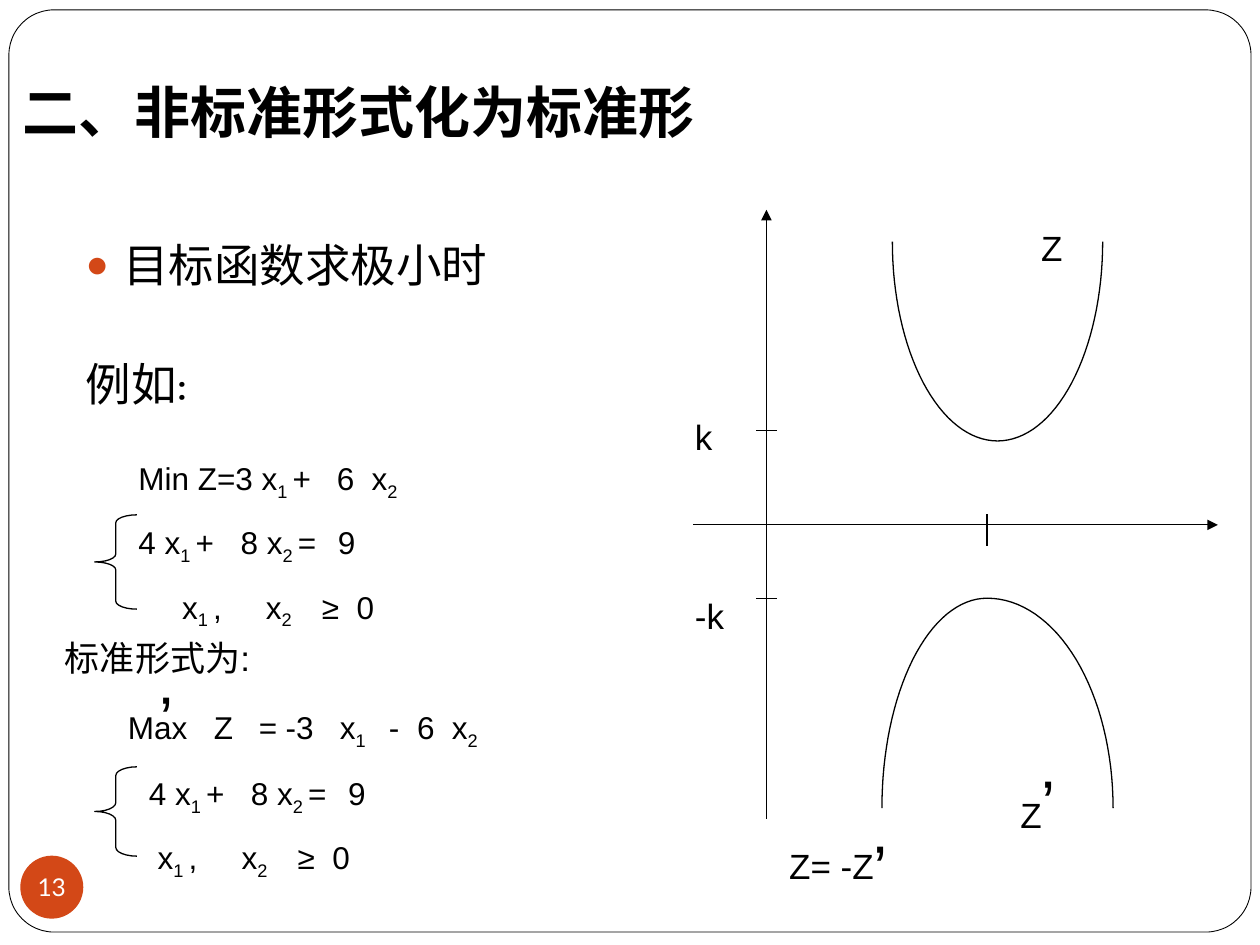
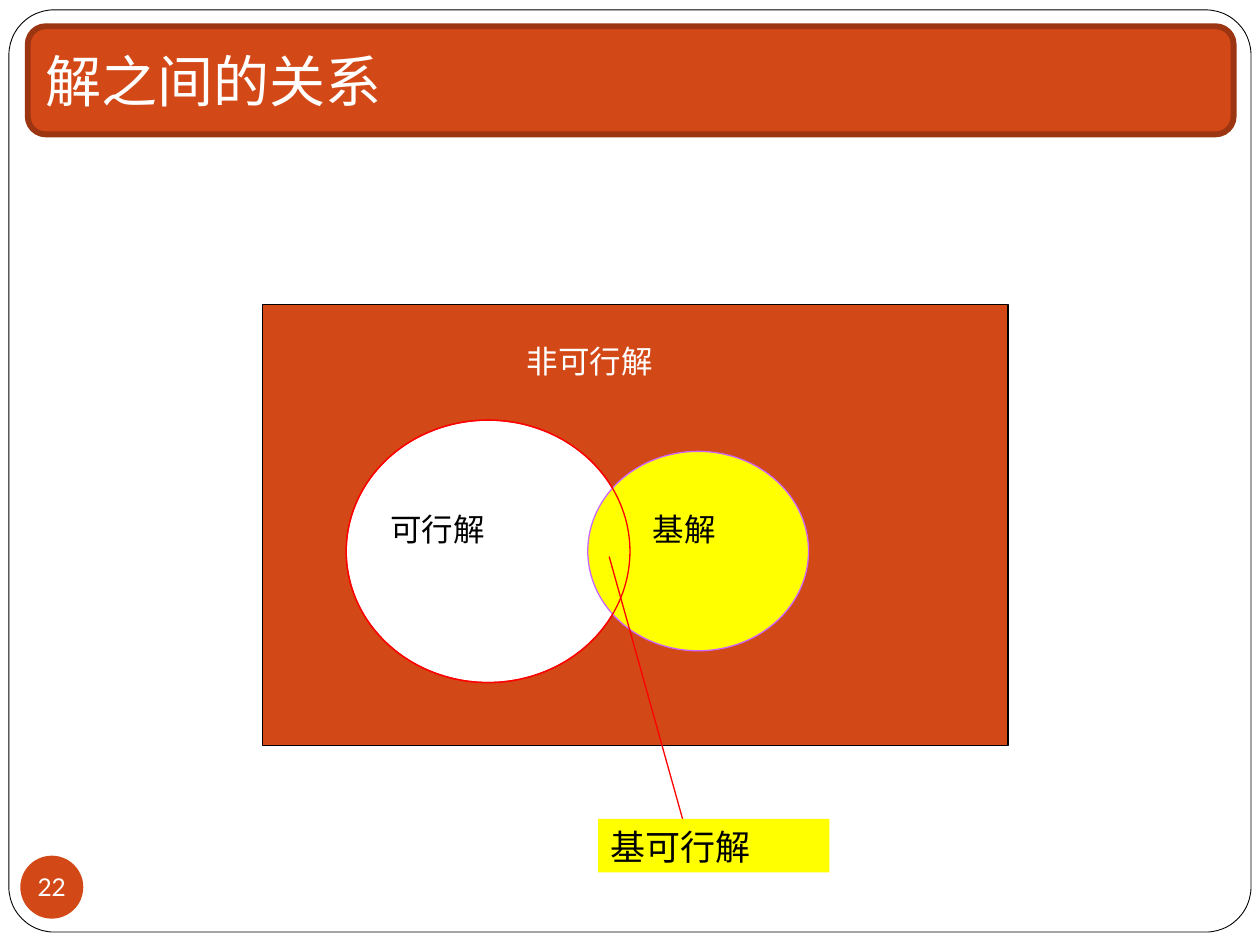
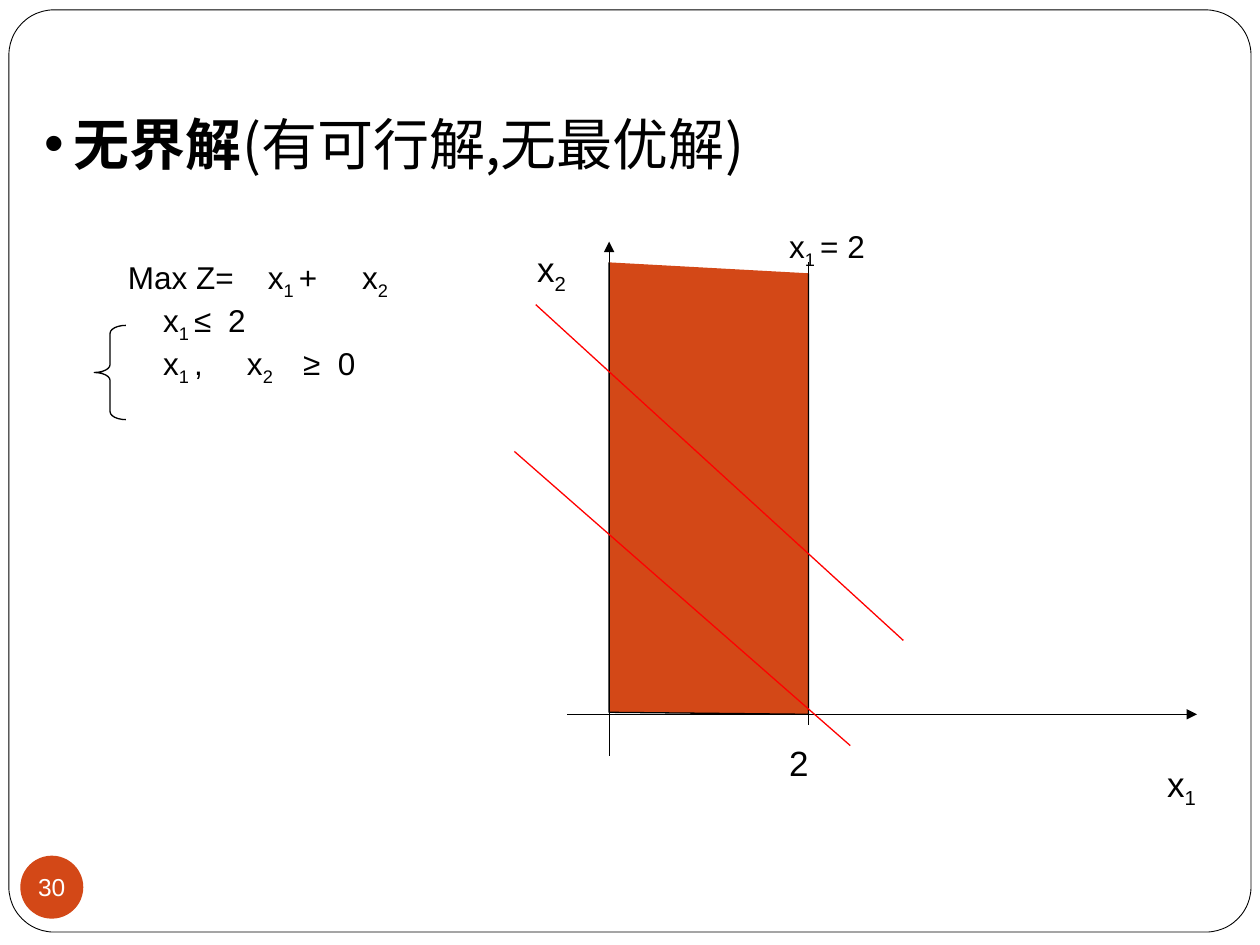
"""Build three lecture slides on linear programming."""
from math import cos, pi, sin

from lxml import etree
from pptx import Presentation
from pptx.dml.color import RGBColor
from pptx.enum.shapes import MSO_CONNECTOR, MSO_SHAPE
from pptx.enum.text import MSO_ANCHOR, MSO_AUTO_SIZE, PP_ALIGN
from pptx.oxml.ns import qn
from pptx.util import Cm, Pt

STRAIGHT = MSO_CONNECTOR.STRAIGHT
RECT, ROUND = MSO_SHAPE.RECTANGLE, MSO_SHAPE.ROUNDED_RECTANGLE
OVAL, BRACE = MSO_SHAPE.OVAL, MSO_SHAPE.LEFT_BRACE
TOP, MIDDLE, BOTTOM = MSO_ANCHOR.TOP, MSO_ANCHOR.MIDDLE, MSO_ANCHOR.BOTTOM
LEFT, CENTER = PP_ALIGN.LEFT, PP_ALIGN.CENTER
GROW, FIXED = MSO_AUTO_SIZE.SHAPE_TO_FIT_TEXT, MSO_AUTO_SIZE.NONE

BLACK = RGBColor(0x00, 0x00, 0x00)
WHITE = RGBColor(0xFF, 0xFF, 0xFF)
RUST = RGBColor(0xD3, 0x48, 0x17)
BROWN = RGBColor(0x9C, 0x35, 0x11)
RED = RGBColor(0xFF, 0x00, 0x00)
YELLOW = RGBColor(0xFF, 0xFF, 0x00)
VIOLET = RGBColor(0xCC, 0x66, 0xFF)

SANS, LATO, SERIF, HAN = "Arial", "Lato", "Vollkorn", "Noto Sans CJK SC"
SUM_ROW = ("4 x|1 |+\t8 x|2 |=\t9", (2.06, 4.02))


def style(item, **values):
    """Set each given value as an attribute."""
    for name, value in values.items():
        setattr(item, name, value)


def node(parent, tag, **values):
    """Append a drawing element with its attributes."""
    return etree.SubElement(parent, qn("a:" + tag), values)


def place(item, box):
    """Move an item to a box in centimetres."""
    style(item, **dict(zip(("left", "top", "width", "height"), map(Cm, box))))


def paint(item, fill=None, line=None, width=0.75):
    """Set the fill and outline and drop the shadow."""
    item.shadow.inherit = False
    if fill is None:
        item.fill.background()
    else:
        item.fill.solid()
        item.fill.fore_color.rgb = fill
    if line is None:
        item.line.fill.background()
    else:
        item.line.color.rgb = line
        item.line.width = Pt(width)


def shape(slide, kind, box, adjust=(), **look):
    """Add a painted preset shape."""
    item = slide.shapes.add_shape(kind, *map(Cm, box))
    for index, value in enumerate(adjust):
        item.adjustments[index] = value
    paint(item, **look)
    return item


def line(slide, start, end, color=BLACK, arrow=False):
    """Draw a straight line, with an arrowhead if asked."""
    item = slide.shapes.add_connector(STRAIGHT, *map(Cm, start + end))
    item.line.color.rgb = color
    item.line.width = Pt(0.75)
    props = item.element.spPr
    if arrow:
        node(props.find(qn("a:ln")), "tailEnd", type="triangle")
    node(props, "effectLst")


def write(para, text, size, font=SANS, color=BLACK, bold=False):
    """Add runs; every second part between bars is a subscript."""
    for index, part in enumerate(text.split("|")):
        if part:
            run = para.add_run()
            run.text = part
            style(run.font, name=font, size=Pt(size), bold=bold)
            run.font.color.rgb = color
            props = run.font._element
            node(props, "ea", typeface=HAN)
            if index % 2:
                props.set("baseline", "-25000")


def bullet(para, char=None, color=None, size=None):
    """Give a paragraph a bullet, or none."""
    props = para._p.get_or_add_pPr()
    if color is not None:
        node(node(props, "buClr"), "srgbClr", val=str(color))
    if size:
        node(props, "buSzPct", val=str(size * 1000))
    if char:
        node(props, "buFont", typeface=SANS)
        node(props, "buChar", char=char)
    else:
        node(props, "buNone")


def label(slide, box, text, size=20, color=BLACK):
    """Place a one-line label."""
    item = slide.shapes.add_textbox(*map(Cm, box))
    style(item.text_frame, word_wrap=True, auto_size=GROW)
    write(item.text_frame.paragraphs[0], text, size, color=color)
    return item


def rows(slide, box, lines, spacing=1.0):
    """Place formula lines, each with its own tab stops."""
    item = slide.shapes.add_textbox(*map(Cm, box))
    frame = item.text_frame
    style(frame, word_wrap=True, auto_size=GROW)
    for index, (text, tabs) in enumerate(lines):
        para = frame.add_paragraph() if index else frame.paragraphs[0]
        para.line_spacing = spacing
        stops = node(para._p.get_or_add_pPr(), "tabLst")
        for tab in tabs:
            node(stops, "tab", pos=str(Cm(tab)), algn="l")
        write(para, text, 18)


def signs(indent):
    """Return the sign condition line, set in by an indent."""
    tabs = [indent + step for step in (0, 1.69, 2.82, 3.52)]
    return "\tx|1 |,\tx|2|\t≥\t0", tabs


def brace(slide, box, bend):
    """Draw a left brace."""
    shape(slide, BRACE, box, (bend, 0.5), line=BLACK)


def title(slide, box, parts, font=HAN, color=BLACK, anchor=BOTTOM, mark=None):
    """Fill the title placeholder with (text, bold) parts."""
    item = slide.shapes.title
    place(item, box)
    frame = item.text_frame
    base = 0.25 if anchor == BOTTOM else 0.13
    style(frame, word_wrap=True, auto_size=FIXED, vertical_anchor=anchor,
          margin_left=Cm(0.25), margin_right=Cm(0.25),
          margin_top=Cm(0.13), margin_bottom=Cm(base))
    para = frame.paragraphs[0]
    para.alignment = LEFT
    bullet(para, mark)
    for text, bold in parts:
        write(para, text, 32, font, color, bold)
    return item


def body(slide, box, lines):
    """Fill the body placeholder with (text, mark, space) lines."""
    item = slide.placeholders[1]
    place(item, box)
    frame = item.text_frame
    style(frame, word_wrap=True, auto_size=FIXED, vertical_anchor=TOP)
    for index, (text, mark, space) in enumerate(lines):
        para = frame.add_paragraph() if index else frame.paragraphs[0]
        para.space_before = Pt(space)
        props = para._p.get_or_add_pPr()
        props.set("marL", str(Cm(0.76)))
        props.set("indent", str(Cm(-0.76)))
        bullet(para, mark, RUST, 85)
        write(para, text, 26, SERIF)


def badge(slide, number, font=LATO):
    """Draw the page number disc."""
    item = shape(slide, OVAL, (0.41, 17.25, 1.27, 1.27), fill=RUST)
    frame = item.text_frame
    style(frame, word_wrap=False, vertical_anchor=MIDDLE, margin_left=0,
          margin_right=0, margin_top=0, margin_bottom=0)
    frame.paragraphs[0].alignment = CENTER
    write(frame.paragraphs[0], str(number), 14, font, WHITE)


def frame_all(deck, slide):
    """Put the rounded page frame on the slide master."""
    item = shape(slide, ROUND, (0.18, 0.2, 25.04, 18.59), (0.049,),
                 fill=WHITE, line=BLACK, width=0.5)
    deck.slide_master.shapes._spTree.insert(2, item.element)


def curve(slide, x, y, wide, high):
    """Draw a quarter ellipse around a centre."""
    steps = 32
    turns = [pi / 2 * step / steps for step in range(steps + 1)]
    points = [(Cm(x + wide * cos(a)), Cm(y + high * sin(a))) for a in turns]
    path = slide.shapes.build_freeform(*points[0])
    path.add_line_segments(points[1:], close=False)
    paint(path.convert_to_shape(), line=BLACK)


def mirror(slide, x, y):
    """Plot Z and its mirror image on axes."""
    line(slide, (x, y + 6.35), (x + 10.58, y + 6.35), arrow=True)
    line(slide, (x + 1.48, y + 12.28), (x + 1.48, y), arrow=True)
    for left, top, wide, high in ((6.14, 0.64, -2.12, 4.02),
                                  (6.14, 0.64, 2.12, 4.02),
                                  (5.93, 12.06, -2.12, -4.23),
                                  (5.93, 12.06, 2.54, -4.23)):
        curve(slide, x + left, y + top, wide, high)
    line(slide, (x + 5.93, y + 6.14), (x + 5.93, y + 6.77))
    for level in (7.83, 4.45):
        line(slide, (x + 1.27, y + level), (x + 1.69, y + level))
    for text, left, top, wide in (("-k", -0.21, 7.62, 1.69),
                                  ("k", -0.21, 4.02, 1.27),
                                  ("Z", 6.77, 0.21, 2.33),
                                  ("Z", 6.35, 11.64, 1.06),
                                  ("Z= -Z", 1.69, 12.66, 2.75)):
        label(slide, (x + left, y + top, wide, 1.08), text)
    for left, top in ((6.77, 11.01), (3.39, 12.32)):
        label(slide, (x + left, y + top, 1.48, 1.78), "’", 36)


def models(slide, x, y):
    """Set the minimum model above its standard form."""
    first = ("Min Z=3 x|1 |+\t6\tx|2", (4.0, 4.7))
    rows(slide, (x + 1.48, y, 6.55, 3.58), (first, SUM_ROW, signs(0.88)), 1.5)
    rows(slide, (x + 1.69, y + 6.35, 9.96, 3.43), (SUM_ROW, signs(0.18)), 1.5)
    brace(slide, (x + 0.85, y + 1.69, 0.85, 1.9), 0.188)
    brace(slide, (x + 0.85, y + 6.77, 0.85, 1.8), 0.208)
    label(slide, (x, y + 4.02, 7.41, 1.08), "标准形式为:")
    goal = ("Max\tZ\t=\t-3\tx|1|\t-\t6\tx|2",
            (1.73, 2.64, 3.18, 4.27, 5.26, 5.83, 6.53))
    rows(slide, (x + 1.27, y + 5.46, 8.69, 1.88), (goal,))
    label(slide, (x + 1.9, y + 4.86, 1.48, 1.78), "’", 36)


def sets(slide, x, y):
    """Draw the overlapping solution sets."""
    shape(slide, RECT, (x, y, 15.03, 8.89), fill=RUST, line=BLACK)
    ring = (x + 1.69, y + 2.33, 5.72, 5.29)
    shape(slide, OVAL, ring, fill=WHITE, line=RED)
    shape(slide, OVAL, (x + 6.56, y + 2.96, 4.45, 4.02),
          fill=YELLOW, line=VIOLET)
    for text, left, top, wide, color in (("基解", 7.62, 4.02, 3.18, BLACK),
                                         ("可行解", 2.33, 4.02, 3.39, BLACK),
                                         ("非可行解", 5.08, 0.64, 5.72, WHITE)):
        label(slide, (x + left, y + top, wide, 1.27), text, 18, color)
    note = label(slide, (x + 6.77, y + 10.37, 4.66, 1.08), "基可行解")
    note.fill.solid()
    note.fill.fore_color.rgb = YELLOW
    line(slide, (x + 6.99, y + 5.08), (x + 8.47, y + 10.37), RED)
    shape(slide, OVAL, ring, line=RED)


def strip(slide, x, y):
    """Plot the unbounded region with its level lines."""
    line(slide, (x, y + 9.53), (x + 12.7, y + 9.53), arrow=True)
    line(slide, (x + 0.85, y + 10.37), (x + 0.85, y), arrow=True)
    line(slide, (x + 4.87, y + 9.31), (x + 4.87, y + 9.74))
    for text, left, top, wide in (("2", 4.23, 9.95, 1.9),
                                  ("x|1", 11.85, 10.37, 1.27),
                                  ("x|2", -0.85, 0, 1.48)):
        label(slide, (x + left, y + top, wide, 1.08), text)
    line(slide, (x + 4.87, y + 9.74), (x + 4.87, y + 0.42))
    label(slide, (x + 4.23, y - 0.42, 3.6, 1.03), "x|1 |= 2", 18)
    spots = ((0.85, 0.42), (0.85, 9.49), (4.87, 9.53), (4.87, 0.64))
    points = [(Cm(x + left), Cm(y + top)) for left, top in spots]
    path = slide.shapes.build_freeform(*points[0])
    path.add_line_segments(points[1:], close=False)
    paint(path.convert_to_shape(), fill=RUST, line=BLACK)
    line(slide, (x - 1.06, y + 4.23), (x + 5.71, y + 10.16), RED)
    line(slide, (x - 0.63, y + 1.27), (x + 6.78, y + 8.04), RED)


def standard(slide):
    """Fill the slide on turning a model into standard form."""
    badge(slide, 13)
    title(slide, (0.2, 1.27, 14.81, 1.9),
          (("二、非标准形式化为标准形", True),), LATO)
    body(slide, (1.47, 4.65, 21.59, 11.43),
         (("目标函数求极小时", "●", 5.8), ("例如:", None, 37)))
    models(slide, 1.06, 8.69)
    mirror(slide, 13.97, 4.23)


def relation(slide):
    """Fill the slide on how the solutions relate."""
    badge(slide, 22)
    sets(slide, 5.29, 6.14)
    band = (0.56, 0.53, 24.31, 2.18)
    shape(slide, ROUND, band, fill=RUST, line=BROWN, width=3.35)
    item = title(slide, (band[0] + 0.1,) + band[1:],
                 (("解之间的关系", False),), color=WHITE, anchor=MIDDLE)
    slide.shapes._spTree.append(item.element)


def unbounded(slide):
    """Fill the slide on the unbounded solution."""
    badge(slide, 30, SANS)
    title(slide, (0.64, 0.64, 21.59, 3.18),
          (("无界解", True), ("(有可行解,无最优解)", False)), mark="•")
    rows(slide, (2.33, 5.08, 6.99, 3.3),
         (("Max Z=\tx|1 |+\tx|2", (2.82, 4.72)),
          ("\tx|1 |≤\t2", (0.71, 2.02)), signs(0.71)))
    brace(slide, (1.9, 6.56, 0.64, 1.9), 0.25)
    strip(slide, 11.43, 4.87)


def main():
    """Build and save the deck."""
    deck = Presentation()
    style(deck, slide_width=Cm(25.4), slide_height=Cm(19.05))
    for index, (fill, layout) in enumerate(
            ((standard, 1), (relation, 5), (unbounded, 5))):
        slide = deck.slides.add_slide(deck.slide_layouts[layout])
        if not index:
            frame_all(deck, slide)
        fill(slide)
    deck.save("out.pptx")


main()
